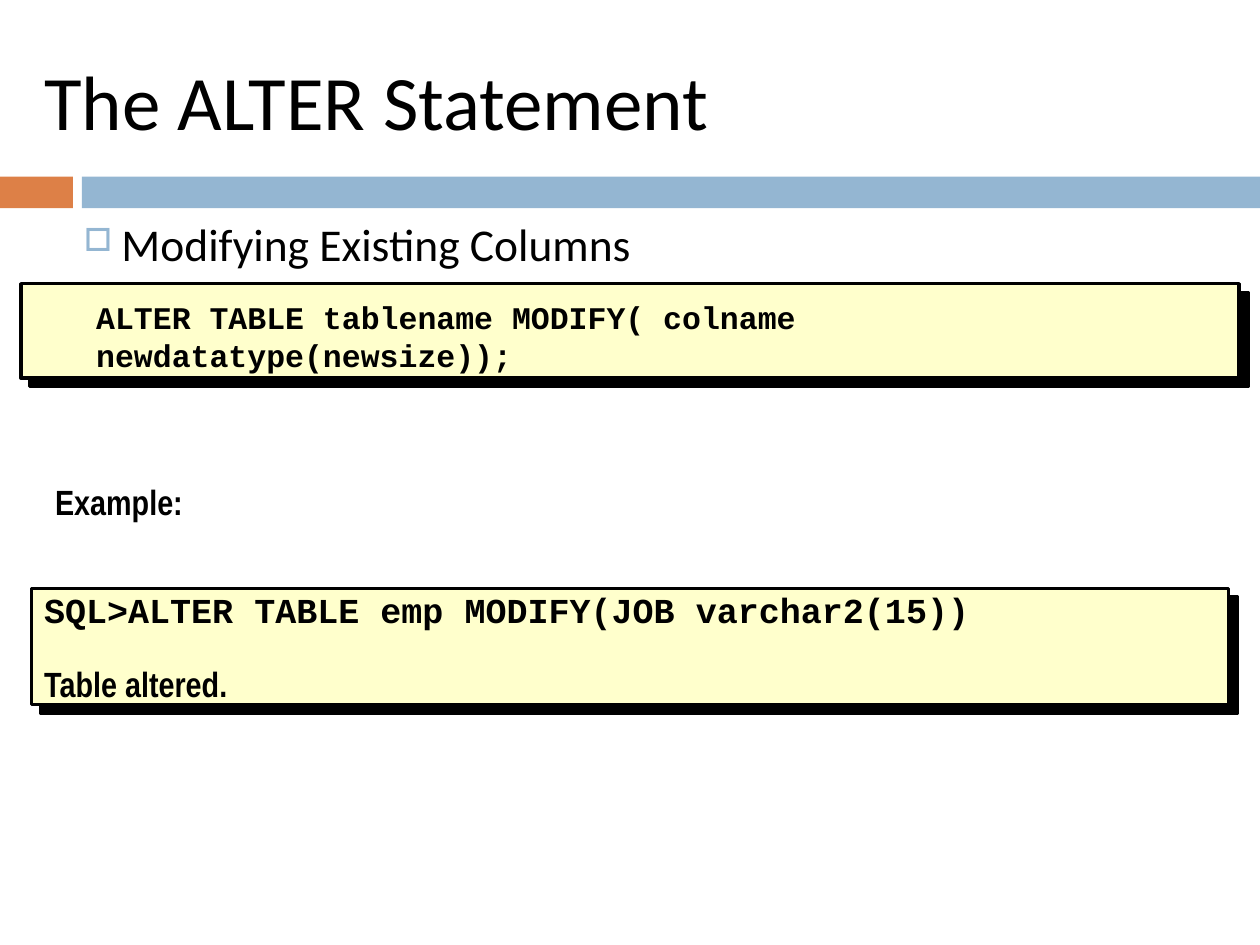
from lxml.etree import SubElement
from pptx import Presentation
from pptx.dml.color import RGBColor
from pptx.enum.shapes import MSO_SHAPE
from pptx.enum.text import MSO_ANCHOR, PP_ALIGN
from pptx.oxml import parse_xml
from pptx.oxml.ns import nsdecls, qn
from pptx.util import Cm, Pt

BLACK = RGBColor(0x00, 0x00, 0x00)
ORANGE = RGBColor(0xDD, 0x80, 0x47)
BLUE = RGBColor(0x94, 0xB6, 0xD2)
CREAM = RGBColor(0xFF, 0xFF, 0xCC)
HARD_SHADOW = (
    f'<a:effectLst {nsdecls("a")}><a:outerShdw dist="90170" dir="2700000" algn="ctr" '
    'rotWithShape="0"><a:srgbClr val="000000"/></a:outerShdw></a:effectLst>'
)


def add_text(slide, box, lines, font="Calibri", size=20, bold=False, wrap=True,
             anchor=MSO_ANCHOR.TOP, align=PP_ALIGN.LEFT, spacing=1.0, before=(0,)):
    """Place lines of text, each a string or a (string, font) pair, in a box."""
    frame = slide.shapes.add_textbox(*map(Cm, box)).text_frame
    frame.word_wrap = wrap
    frame.vertical_anchor = anchor
    for index, line in enumerate(lines):
        wording, face = line if isinstance(line, tuple) else (line, font)
        paragraph = frame.paragraphs[0] if index == 0 else frame.add_paragraph()
        paragraph.alignment = align
        paragraph.line_spacing = spacing
        paragraph.space_before = Pt(before[index])
        run = paragraph.add_run()
        run.text = wording
        run.font.name = face
        run.font.size = Pt(size)
        run.font.bold = bold
        run.font.color.rgb = BLACK
    return frame


def indent(paragraph, left, hanging=0):
    """Set the left and hanging indents of a paragraph and return its properties."""
    properties = paragraph._p.get_or_add_pPr()
    properties.set("marL", str(Cm(left)))
    properties.set("indent", str(-Cm(hanging)))
    return properties


def add_rectangle(slide, box, color):
    """Draw a plain filled rectangle."""
    rectangle = slide.shapes.add_shape(MSO_SHAPE.RECTANGLE, *map(Cm, box))
    rectangle.shadow.inherit = False
    rectangle.fill.solid()
    rectangle.fill.fore_color.rgb = color
    rectangle.line.fill.background()
    return rectangle


def add_code_panel(slide, box):
    """Draw an outlined cream panel with a hard shadow."""
    panel = add_rectangle(slide, box, CREAM)
    panel.line.color.rgb = BLACK
    panel.line.width = Pt(2)
    properties = panel._element.spPr
    properties.remove(properties.find(qn("a:effectLst")))
    properties.append(parse_xml(HARD_SHADOW))


def add_header(slide, left, top, width):
    """Place the title above its two-coloured band."""
    add_text(slide, (left + 0.64, top + 0.64, 22.66, 2.74), ["The ALTER Statement"],
             size=44, anchor=MSO_ANCHOR.MIDDLE)
    accent, gap = 1.47, 0.18
    add_rectangle(slide, (left, top + 3.56, accent, 0.64), ORANGE)
    add_rectangle(slide, (left + accent + gap, top + 3.56, width - accent - gap, 0.64), BLUE)


def add_syntax(slide, left, top):
    """Place the bulleted topic and the panel with its general statement."""
    topic = add_text(slide, (left, top, 20.52, 1.4), ["Modifying Existing Columns"],
                     size=26, before=(5.5,))
    properties = indent(topic.paragraphs[0], 1.78, 0.76)
    color = SubElement(properties, qn("a:buClr"))
    SubElement(color, qn("a:srgbClr")).set("val", str(BLUE))
    SubElement(properties, qn("a:buSzPct")).set("val", "70000")
    SubElement(properties, qn("a:buChar")).set("char", "\u25a1")
    add_code_panel(slide, (left, top + 1.48, 24.56, 1.9))
    add_text(slide, (left + 1.27, top + 1.48, 18.62, 2.11),
             ["ALTER TABLE tablename MODIFY( colname newdatatype(newsize));"],
             font="Courier New", size=18, bold=True, wrap=False, anchor=MSO_ANCHOR.MIDDLE)


def add_example(slide, left, top):
    """Place the example label and the panel with the statement and its result."""
    add_code_panel(slide, (left, top + 2.46, 24.13, 2.34))
    add_text(slide, (left, top + 2.18, 24.33, 2.82),
             ["SQL>ALTER TABLE emp MODIFY(JOB varchar2(15))", ("Table altered.", "Arial Narrow")],
             font="Courier New", bold=True, spacing=1.2, before=(0, 13))
    label = add_text(slide, (left - 1.07, top, 4.39, 1.19), ["Example:"], font="Arial Narrow",
                     bold=True, wrap=False, align=PP_ALIGN.CENTER, spacing=1.2)
    indent(label.paragraphs[0], 1.27)


def build():
    """Build and save the slide."""
    deck = Presentation()
    deck.slide_width, deck.slide_height = Cm(25.4), Cm(19.05)
    slide = deck.slides.add_slide(deck.slide_layouts[6])
    add_header(slide, 0, 0, 25.4)
    add_syntax(slide, 0.42, 4.24)
    add_example(slide, 0.64, 9.4)
    deck.save("out.pptx")


build()
